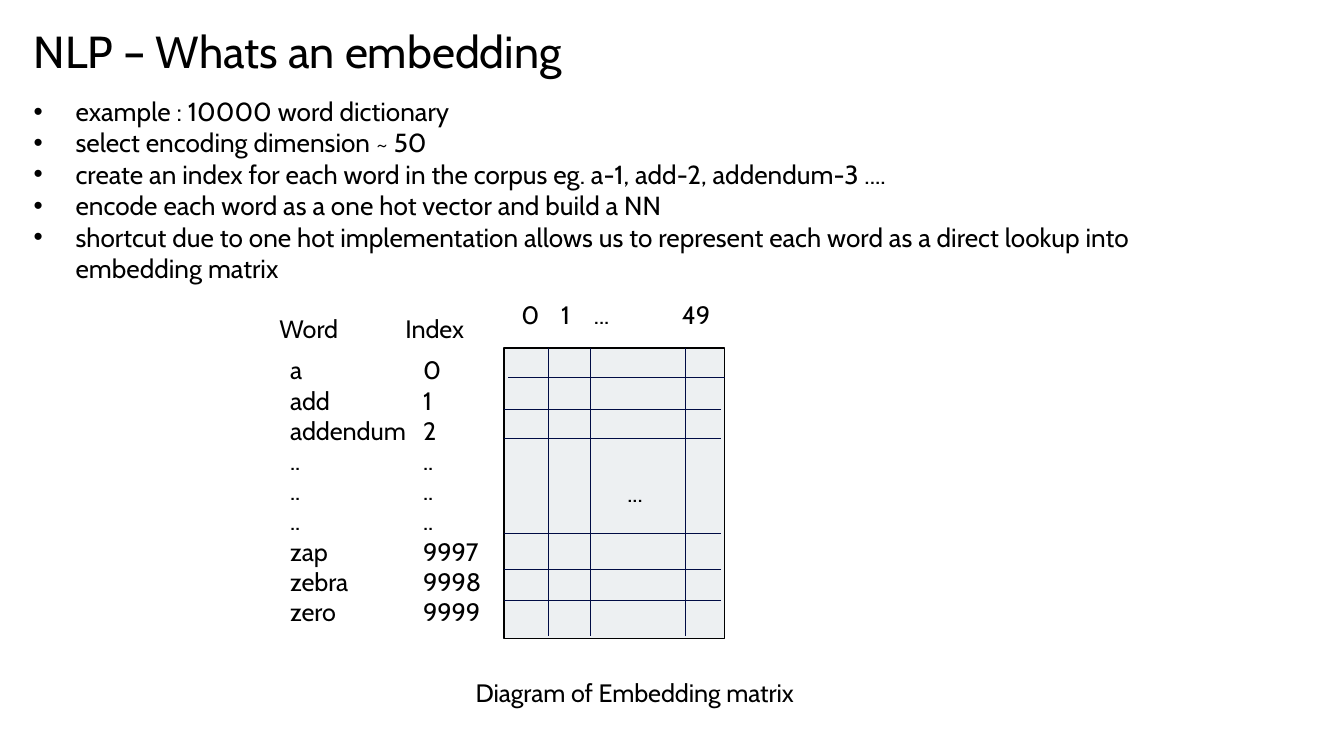
"""Build a slide that explains word embeddings with a lookup matrix."""
from lxml import etree
from pptx import Presentation
from pptx.dml.color import RGBColor
from pptx.enum import shapes, text
from pptx.oxml.ns import qn
from pptx.util import Pt

BLACK = RGBColor(0x00, 0x00, 0x00)
NAVY = RGBColor(0x00, 0x0B, 0x44)
PALE = RGBColor(0xED, 0xF0, 0xF2)
FONT = "Cabin"
LABEL_SIZE = 13.5
INDENT = 22.5

TITLE = "NLP – Whats an embedding"
BULLETS = [
    "example : 10000 word dictionary",
    "select encoding dimension ~ 50",
    "create an index for each word in the corpus eg. a-1, add-2, addendum-3 ....",
    "encode each word as a one hot vector and build a NN",
    "shortcut due to one hot implementation allows us to represent each word "
    "as a direct lookup into embedding matrix",
]
VOCABULARY = [
    ("a", "0"), ("add", "1"), ("addendum", "2"),
    ("..", ".."), ("..", ".."), ("..", ".."),
    ("zap", "9997"), ("zebra", "9998"), ("zero", "9999"),
]
WORDS, INDEXES = zip(*VOCABULARY)
MATRIX = (270, 186.5, 118, 155.5)
COLUMN_LINES = [293.8, 316.1, 367.2]
ROW_LINES = [(272.2, 202.3), (270, 219.6), (270, 234.7),
             (270, 285.8), (270, 305.3), (270, 321.8)]
ROW_LENGTH = 116.3
LABELS = [
    ((148.3, 186.5, 80.6, 170.6), WORDS, ()),
    ((219.6, 186.5, 47.5, 187.2), INDEXES, ()),
    ((329, 252, 25.2, 23.8), ["..."], ()),
    ((272.2, 157, 131, 23.8), ["0\t1\t...\t49"], (21.3, 38.9, 86)),
    ((247.7, 359.3, 195.8, 23.8), ["Diagram of Embedding matrix"], ()),
    ((142.6, 164.2, 120.2, 23.8), ["Word\tIndex"], (67.5,)),
]


def add_text(page, place, lines, size, inset=True, spacing=None, bullet=None, tabs=()):
    box = page.shapes.add_textbox(*map(Pt, place))
    frame = box.text_frame
    frame.word_wrap = True
    frame.vertical_anchor = text.MSO_ANCHOR.TOP
    if not inset:
        frame.margin_left = frame.margin_right = 0
        frame.margin_top = frame.margin_bottom = 0
    for number, line in enumerate(lines):
        para = frame.add_paragraph() if number else frame.paragraphs[0]
        if spacing:
            para.line_spacing = spacing
        properties = para._p.get_or_add_pPr()
        if bullet:
            properties.set("marL", str(Pt(INDENT)))
            properties.set("indent", str(-Pt(INDENT)))
            etree.SubElement(properties, qn("a:buFont"), typeface="Arial")
            etree.SubElement(properties, qn("a:buChar"), char=bullet)
        if tabs:
            stops = etree.SubElement(properties, qn("a:tabLst"))
            for stop in tabs:
                etree.SubElement(stops, qn("a:tab"), pos=str(Pt(stop)), algn="l")
        span = para.add_run()
        span.text = line
        span.font.name = FONT
        span.font.size = Pt(size)
        span.font.color.rgb = BLACK


def add_line(page, *ends):
    line = page.shapes.add_connector(shapes.MSO_CONNECTOR.STRAIGHT, *map(Pt, ends))
    line.line.color.rgb = NAVY
    line.line.width = Pt(0.5)
    etree.SubElement(line._element.spPr, qn("a:effectLst"))


def add_matrix(page):
    box = page.shapes.add_shape(shapes.MSO_SHAPE.RECTANGLE, *map(Pt, MATRIX))
    box.shadow.inherit = False
    box.fill.solid()
    box.fill.fore_color.rgb = PALE
    box.line.color.rgb = BLACK
    box.line.width = Pt(0.75)
    top, height = MATRIX[1], MATRIX[3]
    for x in COLUMN_LINES:
        add_line(page, x, top, x, top + height - 1)
    for x, y in ROW_LINES:
        add_line(page, x, y, x + ROW_LENGTH, y)


def main():
    deck = Presentation()
    deck.slide_width, deck.slide_height = Pt(720), Pt(405)
    page = deck.slides.add_slide(deck.slide_layouts[6])
    add_text(page, (18, 15.8, 554.4, 67.7), [TITLE], 24, inset=False, spacing=0.9)
    add_text(page, (18, 51.1, 594.7, 121.7), BULLETS, 14, inset=False, bullet="•")
    add_matrix(page)
    for place, lines, tabs in LABELS:
        add_text(page, place, lines, LABEL_SIZE, tabs=tabs)
    deck.save("out.pptx")


if __name__ == "__main__":
    main()
